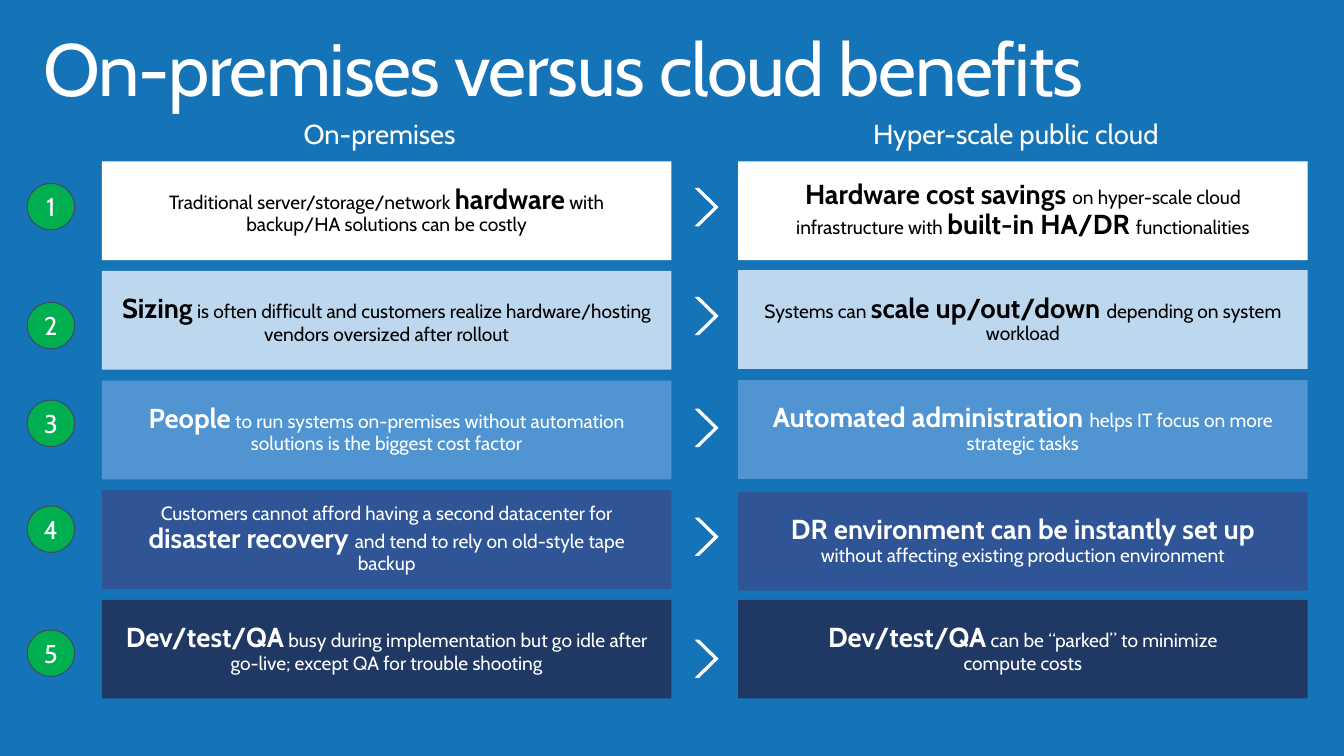
from dataclasses import dataclass

from pptx import Presentation
from pptx.dml.color import RGBColor
from pptx.enum import shapes, text
from pptx.util import Inches, Pt

TITLE = "On-premises versus cloud benefits"
# Heading, left, width
HEADINGS = [("On-premises", 2.52, 2.49), ("Hyper-scale public cloud", 7.65, 4.85)]

# On-premises text, cloud text; asterisks enclose the emphasised words
COMPARISONS = [
    ("Traditional server/storage/network *hardware* with backup/HA solutions can be costly",
     "*Hardware cost savings *on hyper-scale cloud infrastructure with "
     "*built-in HA/DR *functionalities"),
    ("*Sizing* is often difficult and customers realize hardware/hosting vendors "
     "oversized after rollout",
     "Systems can *scale up/out/down *depending on system workload"),
    ("*People* to run systems on-premises without automation solutions is the "
     "biggest cost factor",
     "*Automated administration *helps IT focus on more strategic tasks"),
    ("Customers cannot afford having a second datacenter for *disaster recovery *"
     "and tend to rely on old-style tape backup",
     "*DR environment can be instantly set up *without affecting existing "
     "production environment"),
    ("*Dev/test/QA* busy during implementation but go idle after go-live; "
     "except QA for trouble shooting",
     "*Dev/test/QA* can be “parked” to minimize\ncompute costs"),
]


@dataclass(frozen=True)
class Theme:
    font: str = "Cabin"
    background: str = "1574B8"
    light: str = "FFFFFF"
    dark: str = "000000"
    badge: str = "00B050"
    badge_edge: str = "3D4C5F"
    rows: tuple = ("FFFFFF", "BDD7EE", "5095D1", "2F5597", "203864")
    title: float = 52.9
    emphasis: float = 19.6
    body: float = 13.7
    number: float = 18.3


THEME = Theme()
DARK_TEXT_ROWS = 2
ROW_TOP, ROW_PITCH = 1.6, 1.0875
BOX_WIDTH, BOX_HEIGHT = 5.65, 0.98
ONPREM_LEFT, CLOUD_LEFT = 1.01, 7.32
CLOUD_TOPS = [1.6, 2.68, 3.77, 4.88, 5.95]
BADGE_TOPS = [1.82, 3.0, 3.97, 5.02, 6.25]
ARROW_TOPS = [1.87, 2.95, 4.06, 5.14, 6.35]


def rgb(color):
    return RGBColor.from_string(color)


def style(run, size, color, bold=False):
    run.font.name = THEME.font
    run.font.size = Pt(size)
    run.font.bold = bold
    run.font.color.rgb = rgb(color)


def set_frame(frame, side, end, anchor):
    frame.word_wrap = True
    frame.auto_size = text.MSO_AUTO_SIZE.NONE
    frame.vertical_anchor = anchor
    frame.margin_left = frame.margin_right = Inches(side)
    frame.margin_top = frame.margin_bottom = Inches(end)


def add_figure(slide, kind, area, fill, edge=None):
    figure = slide.shapes.add_shape(kind, *map(Inches, area))
    figure.shadow.inherit = False
    figure.fill.solid()
    figure.fill.fore_color.rgb = rgb(fill)
    if edge:
        figure.line.color.rgb = rgb(edge)
        figure.line.width = Pt(0.75)
    else:
        figure.line.fill.background()
    return figure


def add_box(slide, left, top, wording, fill, color):
    box = add_figure(slide, shapes.MSO_SHAPE.RECTANGLE,
                     (left, top, BOX_WIDTH, BOX_HEIGHT), fill)
    set_frame(box.text_frame, 0.2, 0.16, text.MSO_ANCHOR.MIDDLE)
    paragraph = box.text_frame.paragraphs[0]
    paragraph.alignment = text.PP_ALIGN.CENTER
    paragraph.line_spacing = 0.9
    for part, phrase in enumerate(wording.split("*")):
        emphasised = part % 2 == 1
        for line, words in enumerate(phrase.split("\n")):
            if line:
                paragraph.add_line_break()
            if words:
                run = paragraph.add_run()
                run.text = words
                style(run, THEME.emphasis if emphasised else THEME.body, color, emphasised)


def add_badge(slide, number, top):
    badge = add_figure(slide, shapes.MSO_SHAPE.OVAL, (0.27, top, 0.47, 0.46),
                       THEME.badge, THEME.badge_edge)
    set_frame(badge.text_frame, 0.08, 0.04, text.MSO_ANCHOR.MIDDLE)
    paragraph = badge.text_frame.paragraphs[0]
    paragraph.text = str(number)
    paragraph.alignment = text.PP_ALIGN.CENTER
    style(paragraph.runs[0], THEME.number, THEME.light)


def add_arrow(slide, top):
    arrow = add_figure(slide, shapes.MSO_SHAPE.CHEVRON, (6.9, top, 0.22, 0.37),
                       THEME.light, THEME.light)
    arrow.adjustments[0] = 0.86


def add_heading(slide, wording, left, width):
    heading = slide.shapes.add_textbox(*map(Inches, (left, 1.2, width, 0.3)))
    set_frame(heading.text_frame, 0, 0, text.MSO_ANCHOR.TOP)
    paragraph = heading.text_frame.paragraphs[0]
    paragraph.text = wording
    paragraph.alignment = text.PP_ALIGN.CENTER
    paragraph.line_spacing = 0.9
    style(paragraph.runs[0], THEME.emphasis, THEME.light)


def set_title(slide):
    title = slide.shapes.title
    title.left, title.top, title.width, title.height = map(Inches, (0.27, 0.22, 12.23, 0.98))
    set_frame(title.text_frame, 0.16, 0.1, text.MSO_ANCHOR.TOP)
    paragraph = title.text_frame.paragraphs[0]
    paragraph.text = TITLE
    paragraph.alignment = text.PP_ALIGN.LEFT
    paragraph.line_spacing = 0.9
    run = paragraph.runs[0]
    style(run, THEME.title, THEME.light)
    run._r.get_or_add_rPr().set("spc", "-100")


def main():
    deck = Presentation()
    deck.slide_width, deck.slide_height = Inches(13.33), Inches(7.5)
    slide = deck.slides.add_slide(deck.slide_layouts.get_by_name("Title Only"))
    slide.background.fill.solid()
    slide.background.fill.fore_color.rgb = rgb(THEME.background)

    set_title(slide)
    for heading in HEADINGS:
        add_heading(slide, *heading)
    for row, (onprem, cloud) in enumerate(COMPARISONS):
        fill = THEME.rows[row]
        color = THEME.dark if row < DARK_TEXT_ROWS else THEME.light
        add_badge(slide, row + 1, BADGE_TOPS[row])
        add_box(slide, ONPREM_LEFT, ROW_TOP + row * ROW_PITCH, onprem, fill, color)
        add_arrow(slide, ARROW_TOPS[row])
        add_box(slide, CLOUD_LEFT, CLOUD_TOPS[row], cloud, fill, color)
    deck.save("out.pptx")


if __name__ == "__main__":
    main()
